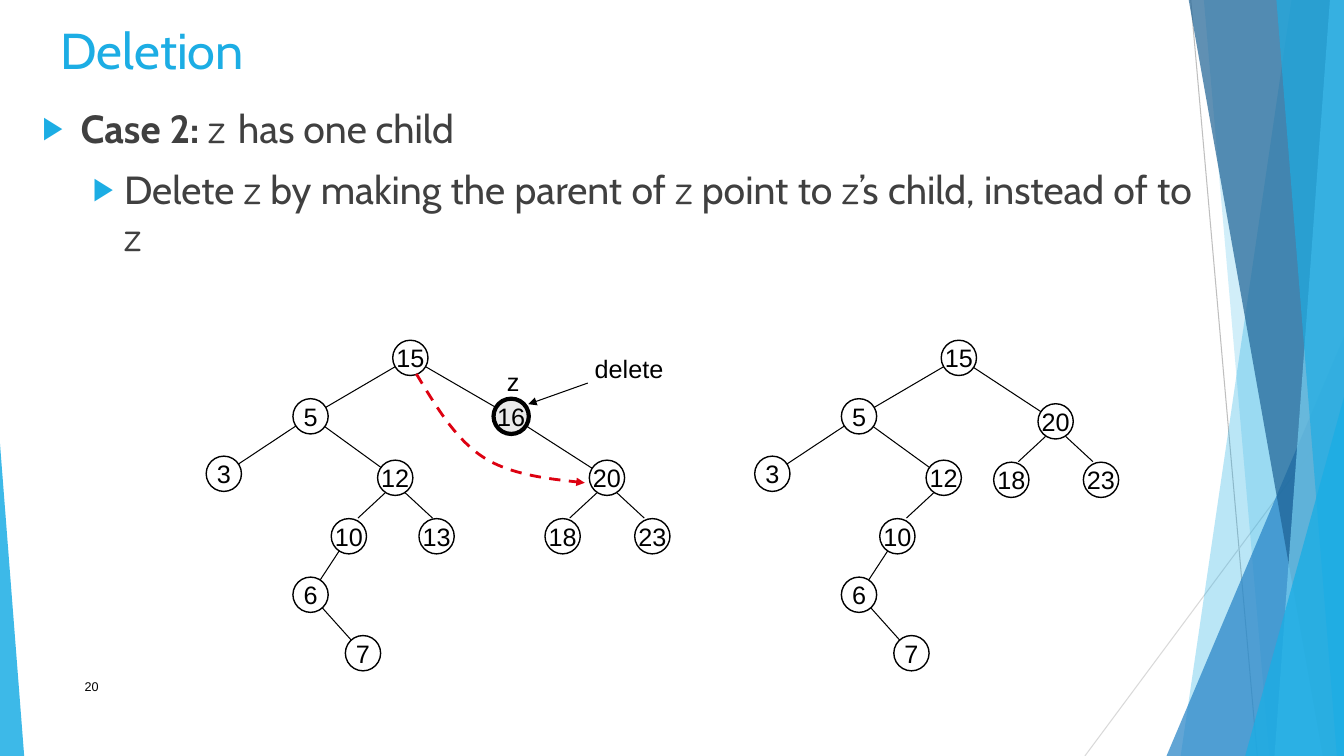
import math
from dataclasses import dataclass

from lxml import etree
from pptx import Presentation, util as u
from pptx.dml.color import RGBColor
from pptx.enum import dml, shapes, text
from pptx.oxml.ns import qn

# Content
TITLE = "Deletion"
PAGE_NUMBER = "20"
BODY = [  # level, left margin, indent, runs; "z" is set in the variable font
    (0, 0.38, -0.38, ["Case 2: ", "z ", "has one child"]),
    (1, 0.81, -0.31, ["Delete ", "z", " by making the parent of ", "z", " point to ",
                      "z", "’s child, instead of to ", "z"]),
]
# Node centres, in inches
BEFORE = {15: (4.07, 3.55), 16: (5.07, 4.13), 20: (6.02, 4.74), 18: (5.58, 5.32),
          23: (6.47, 5.32), 5: (3.08, 4.13), 3: (2.22, 4.7), 12: (3.92, 4.74),
          10: (3.46, 5.32), 13: (4.33, 5.32), 6: (3.08, 5.9), 7: (3.6, 6.48)}
BEFORE_EDGES = [(15, 5), (15, 16), (16, 20), (20, 18), (20, 23), (5, 3), (5, 12),
                (12, 10), (12, 13), (10, 6), (6, 7)]
DELETED, LEAF_REMOVED = 16, 13
FORKS = {12, 20}  # parents whose two edges leave at the same steep slope
TREE_SHIFT = 5.44
SUBTREE, SUBTREE_SHIFT = {20, 18, 23}, (-0.99, -0.56)
NODE_SIZE = 0.35
BYPASS = [(4.13, 3.71), (4.33, 4.04), (4.52, 4.36), (4.8, 4.54),
          (5.08, 4.72), (5.63, 4.77), (5.8, 4.79)]


@dataclass(frozen=True)
class Theme:
    accent: str = "1CADE4"
    blue: str = "2683C6"
    deep: str = "1D6294"
    pale: str = "77CEEF"
    body: str = "404040"
    ink: str = "000000"
    paper: str = "FFFFFF"
    marked: str = "EAEAEA"
    alert: str = "DD0111"
    text_font: str = "Cabin"
    variable_font: str = "Comic Neue"
    label_font: str = "Arial"
    title_size: int = 36
    body_size: int = 28
    label_size: int = 18
    number_size: int = 9


THEME = Theme()
WIDTH, HEIGHT = 13.33, 7.5
# Side bands: corner points or triangle (box, apex share), colour, opacity in %
BANDS = [
    ([(12.81, 0), (WIDTH, 0), (WIDTH, HEIGHT), (11.71, HEIGHT)], THEME.accent, 30),
    ([(11.94, 0), (WIDTH, 0), (WIDTH, HEIGHT), (12.59, HEIGHT)], THEME.accent, 20),
    ((11.57, 3.34, 1), THEME.blue, 72),
    ([(11.79, 0), (WIDTH, 0), (WIDTH, HEIGHT), (13.12, HEIGHT)], THEME.deep, 70),
    ([(13.19, 0), (WIDTH, 0), (WIDTH, HEIGHT), (12.64, HEIGHT)], THEME.pale, 70),
    ([(12.66, 0), (WIDTH, 0), (WIDTH, HEIGHT), (13.26, HEIGHT)], THEME.accent, 65),
    ((12.35, 3.94, 1), THEME.accent, 80),
    ((0, 4.4, 0), THEME.accent, 85),
]
LEFT_BAND_WIDTH = 0.24


def inches(*lengths):
    return [u.Inches(length) for length in lengths]


def add_text(paragraph, words, size=THEME.label_size, font=THEME.label_font,
             color=THEME.ink, bold=False, align=text.PP_ALIGN.LEFT):
    paragraph.alignment = align
    run = paragraph.add_run()
    run.text = words
    run.font.size, run.font.name, run.font.bold = u.Pt(size), font, bold
    run.font.color.rgb = RGBColor.from_string(color)


def add_label(slide, words, left, top, width, height=0.4, **style):
    frame = slide.shapes.add_textbox(*inches(left, top, width, height)).text_frame
    frame.word_wrap = False
    frame.vertical_anchor = text.MSO_ANCHOR.MIDDLE
    add_text(frame.paragraphs[0], words, **style)


def add_arrowhead(shape):
    line = shape.element.find(".//" + qn("a:ln"))
    etree.SubElement(line, qn("a:tailEnd"), type="triangle")


def add_line(slide, start, end, color=THEME.ink, arrow=False):
    connector = slide.shapes.add_connector(
        shapes.MSO_CONNECTOR.STRAIGHT, *inches(*start, *end))
    connector.line.color.rgb = RGBColor.from_string(color)
    connector.line.width = u.Pt(0.75)
    if arrow:
        add_arrowhead(connector)
    etree.SubElement(connector.element.spPr, qn("a:effectLst"))


def add_outline(slide, points, close=True):
    points = [inches(*point) for point in points]
    builder = slide.shapes.build_freeform(*points[0], scale=1.0)
    builder.add_line_segments(points[1:], close=close)
    outline = builder.convert_to_shape()
    outline.shadow.inherit = False
    return outline


def add_band(slide, geometry, color, opacity):
    if isinstance(geometry, list):
        band = add_outline(slide, geometry)
    else:
        left, top, apex = geometry
        width = WIDTH - left if left else LEFT_BAND_WIDTH
        band = slide.shapes.add_shape(shapes.MSO_SHAPE.ISOSCELES_TRIANGLE,
                                      *inches(left, top, width, HEIGHT - top))
        band.adjustments[0] = apex
        band.shadow.inherit = False
    band.fill.solid()
    band.fill.fore_color.rgb = RGBColor.from_string(color)
    band.line.fill.background()
    fill_color = band.element.spPr.find(".//" + qn("a:srgbClr"))
    etree.SubElement(fill_color, qn("a:alpha"), val=str(opacity * 1000))


def edge_ends(parent, start, end):
    dx, dy = end[0] - start[0], end[1] - start[1]
    if parent in FORKS:
        side = math.copysign(1, dx)
        return ((start[0] + side * 0.1, start[1] + 0.15),
                (start[0] + side * 0.37, start[1] + 0.4))
    share = NODE_SIZE / 2 / math.hypot(dx, dy)
    return ((start[0] + dx * share, start[1] + dy * share),
            (end[0] - dx * share, end[1] - dy * share))


def add_tree(slide, nodes, edges):
    for parent, child in edges:
        add_line(slide, *edge_ends(parent, nodes[parent], nodes[child]))
    for value, (x, y) in nodes.items():
        marked = value == DELETED
        node = slide.shapes.add_shape(shapes.MSO_SHAPE.OVAL, *inches(
            x - NODE_SIZE / 2, y - NODE_SIZE / 2, NODE_SIZE, NODE_SIZE))
        node.shadow.inherit = False
        node.fill.solid()
        node.fill.fore_color.rgb = RGBColor.from_string(
            THEME.marked if marked else THEME.paper)
        node.line.color.rgb = RGBColor.from_string(THEME.ink)
        node.line.width = u.Pt(3 if marked else 1)
        frame = node.text_frame
        frame.word_wrap = False
        frame.vertical_anchor = text.MSO_ANCHOR.MIDDLE
        frame.margin_left = frame.margin_right = frame.margin_top = frame.margin_bottom = 0
        add_text(frame.paragraphs[0], str(value), align=text.PP_ALIGN.CENTER)


def add_bypass(slide):
    curve = add_outline(slide, BYPASS, close=False)
    curve.fill.background()
    curve.line.color.rgb = RGBColor.from_string(THEME.alert)
    curve.line.width = u.Pt(2)
    curve.line.dash_style = dml.MSO_LINE.DASH
    add_arrowhead(curve)
    # Every three points after the start form one Bézier segment
    track = curve.element.find(".//" + qn("a:path"))
    segments = track.findall(qn("a:lnTo"))
    for first in range(0, len(segments), 3):
        bezier = etree.SubElement(track, qn("a:cubicBezTo"))
        for segment in segments[first:first + 3]:
            bezier.append(segment[0])
            track.remove(segment)


def place(slide, placeholder, box):
    slide.shapes.element.append(placeholder.element)  # in front of the bands
    placeholder.left, placeholder.top, placeholder.width, placeholder.height = inches(*box)
    frame = placeholder.text_frame
    frame.word_wrap, frame.auto_size = True, text.MSO_AUTO_SIZE.NONE
    frame.vertical_anchor = text.MSO_ANCHOR.TOP
    return frame


def fill_body(frame):
    for number, (level, margin, indent, runs) in enumerate(BODY):
        paragraph = frame.add_paragraph() if number else frame.paragraphs[0]
        paragraph.level, paragraph.space_before = level, u.Pt(10)
        for words in runs:
            add_text(paragraph, words, size=THEME.body_size, color=THEME.body,
                     font=THEME.variable_font if words.strip() == "z" else THEME.text_font,
                     bold=words.startswith("Case"), align=text.PP_ALIGN.JUSTIFY)
        # Bullet
        props = paragraph._p.get_or_add_pPr()
        props.set("marL", str(u.Inches(margin)))
        props.set("indent", str(u.Inches(indent)))
        bullet_color = etree.SubElement(props, qn("a:buClr"))
        etree.SubElement(bullet_color, qn("a:srgbClr"), val=THEME.accent)
        etree.SubElement(props, qn("a:buSzPct"), val="80000")
        etree.SubElement(props, qn("a:buFont"), typeface=THEME.label_font)
        etree.SubElement(props, qn("a:buChar"), char="▶")


def main():
    presentation = Presentation()
    presentation.slide_width, presentation.slide_height = inches(WIDTH, HEIGHT)
    slide = presentation.slides.add_slide(presentation.slide_layouts[1])
    title, body = slide.placeholders

    # Side decoration
    add_line(slide, (11.81, 0), (12.47, HEIGHT), color="BFBFBF")
    add_line(slide, (WIDTH, 4.04), (10.76, HEIGHT), color="D9D9D9")
    for band in BANDS:
        add_band(slide, *band)

    # Title, list and page number
    frame = place(slide, title, (0.5, 0.14, 9.4, 1.44))
    add_text(frame.paragraphs[0], TITLE, size=THEME.title_size,
             font=THEME.text_font, color=THEME.accent)
    fill_body(place(slide, body, (0.32, 0.98, 11.6, 2.12)))
    add_label(slide, PAGE_NUMBER, 0.74, 6.61, 6.89, size=THEME.number_size)

    # Tree before and after the deletion
    after = {}
    for value, (x, y) in BEFORE.items():
        dx, dy = SUBTREE_SHIFT if value in SUBTREE else (0, 0)
        if value not in (DELETED, LEAF_REMOVED):
            after[value] = (x + TREE_SHIFT + dx, y + dy)
    after_edges = [edge for edge in BEFORE_EDGES if set(edge) <= set(after)] + [(15, 20)]
    add_tree(slide, BEFORE, BEFORE_EDGES)
    add_tree(slide, after, after_edges)

    # Notes on the deleted node
    add_label(slide, "delete", 5.8, 3.46, 0.88)
    add_line(slide, (5.83, 3.8), (5.24, 4.01), arrow=True)
    add_bypass(slide)
    add_label(slide, "z", 4.93, 3.58, 0.33)
    presentation.save("out.pptx")


if __name__ == "__main__":
    main()
